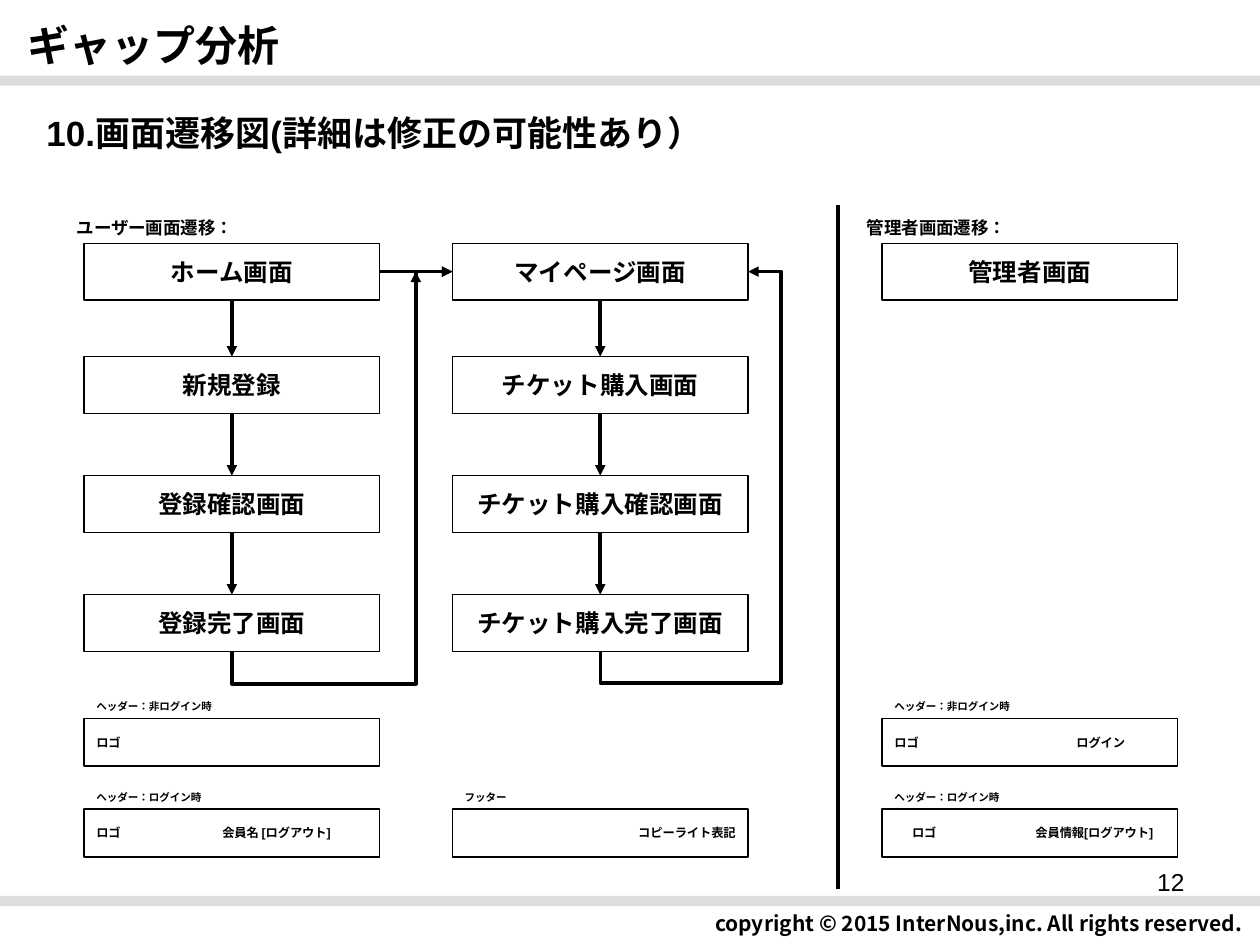
from pptx import Presentation
from pptx.dml.color import RGBColor
from pptx.enum.lang import MSO_LANGUAGE_ID
from pptx.enum.shapes import MSO_CONNECTOR, MSO_SHAPE
from pptx.enum.text import MSO_ANCHOR, MSO_AUTO_SIZE, PP_ALIGN
from pptx.oxml.ns import qn
from pptx.util import Pt
from lxml import etree

RECT = MSO_SHAPE.RECTANGLE
LINE, ELBOW = MSO_CONNECTOR.STRAIGHT, MSO_CONNECTOR.ELBOW
LEFT, CENTER, RIGHT = PP_ALIGN.LEFT, PP_ALIGN.CENTER, PP_ALIGN.RIGHT
TOP, MIDDLE = MSO_ANCHOR.TOP, MSO_ANCHOR.MIDDLE
NONE = MSO_AUTO_SIZE.NONE
JA = MSO_LANGUAGE_ID.JAPANESE

COLORS = {"ink": "000000", "band": "DDDDDD"}
SANS, NOTO = "Arial", "Noto Sans CJK JP"

COLS = (48, 258.5, 504)
ROWS = (139, 203.8, 271.8, 339.8)
WIDE, TALL = 169, 32.4
FLOWS = (
    ("ホーム画面", "新規登録", "登録確認画面", "登録完了画面"),
    ("マイページ画面", "チケット購入画面", "チケット購入確認画面", "チケット購入完了画面"),
    ("管理者画面",),
)
# column, label top, label, content, left inset, tab, alignment
PARTS = (
    (0, 396.7, "ヘッダー：非ログイン時", "ロゴ", 7.2, 72, LEFT),
    (0, 448.6, "ヘッダー：ログイン時", "ロゴ\t会員名 [ログアウト]", 7.2, 72, LEFT),
    (1, 448.6, "フッター", "コピーライト表記", 7.2, 72, RIGHT),
    (2, 396.7, "ヘッダー：非ログイン時", "ロゴ\tログイン", 7.2, 104, LEFT),
    (2, 448.6, "ヘッダー：ログイン時", "ロゴ\t会員情報[ログアウト]", 17.2, 70.5, LEFT),
)


def color(name):
    return RGBColor.from_string(COLORS[name])


class Deck:
    def __init__(self):
        self.prs = Presentation()
        self.prs.slide_width, self.prs.slide_height = Pt(720), Pt(540)
        self.slide = self.prs.slides.add_slide(self.prs.slide_layouts[5])
        self.shapes = self.slide.shapes

    def put(self, shape, text, size, align=LEFT, anchor=MIDDLE,
            face=SANS, bold=True, inset=7.2, tab=None):
        """Fill a shape with one styled paragraph."""
        frame = shape.text_frame
        style = {"word_wrap": True, "auto_size": NONE, "vertical_anchor": anchor,
                 "margin_left": Pt(inset), "margin_right": Pt(7.2),
                 "margin_top": Pt(3.6), "margin_bottom": Pt(3.6)}
        for key, value in style.items():
            setattr(frame, key, value)
        para = frame.paragraphs[0]
        para.alignment = align
        if tab:
            stops = etree.SubElement(para._p.get_or_add_pPr(), qn("a:tabLst"))
            etree.SubElement(stops, qn("a:tab"), pos=str(Pt(tab)), algn="l")
        run = para.add_run()
        run.text = text
        style = {"size": Pt(size), "name": face, "bold": bold, "language_id": JA}
        for key, value in style.items():
            setattr(run.font, key, value)
        run.font.color.rgb = color("ink")
        latin = run._r.rPr.find(qn("a:latin"))
        latin.addnext(etree.Element(qn("a:ea"), typeface=NOTO))

    def title(self, text, x, y, w, h):
        shape = self.shapes.title
        style = {"left": x, "top": y, "width": w, "height": h}
        for key, value in style.items():
            setattr(shape, key, Pt(value))
        self.put(shape, text, 24, face=NOTO)

    def label(self, text, x, y, w, h, size, **style):
        shape = self.shapes.add_textbox(Pt(x), Pt(y), Pt(w), Pt(h))
        self.put(shape, text, size, **style)

    def rect(self, x, y, w, h):
        shape = self.shapes.add_shape(RECT, Pt(x), Pt(y), Pt(w), Pt(h))
        shape.shadow.inherit = False
        return shape

    def band(self, y):
        shape = self.rect(0, y, 720, 5.8)
        shape.fill.solid()
        shape.fill.fore_color.rgb = color("band")
        shape.line.fill.background()

    def box(self, text, x, y, h, size, **style):
        shape = self.rect(x, y, WIDE, h)
        shape.fill.background()
        shape.line.color.rgb = color("ink")
        shape.line.width = Pt(0.75)
        self.put(shape, text, size, **style)
        return shape

    def wire(self, x1, y1, x2, y2, kind=LINE, head=True):
        link = self.shapes.add_connector(kind, Pt(x1), Pt(y1), Pt(x2), Pt(y2))
        link.line.color.rgb = color("ink")
        link.line.width = Pt(2)
        props = link._element.spPr
        if head:
            etree.SubElement(props.find(qn("a:ln")), qn("a:tailEnd"), type="triangle")
        etree.SubElement(props, qn("a:effectLst"))
        return link

    def join(self, start, side, end, goal):
        link = self.wire(0, 0, 0, 0)
        link.begin_connect(start, side)
        link.end_connect(end, goal)

    def loop(self, x1, y1, x2, y2, lane, dip):
        """Run down by dip, across to lane, up to y2 and into x2."""
        link = self.wire(x1, y1, x2, y2, ELBOW)
        w, h = x2 - x1, y1 - y2
        style = {"left": (x1 + x2 - h) / 2, "top": (y1 + y2 - w) / 2,
                 "width": h, "height": w}
        for key, value in style.items():
            setattr(link, key, Pt(value))
        props = link._element.spPr
        for key, value in {"rot": "5400000", "flipH": "1", "flipV": "1"}.items():
            props.find(qn("a:xfrm")).set(key, value)
        geom = props.find(qn("a:prstGeom"))
        geom.set("prst", "bentConnector4")
        guides = geom.find(qn("a:avLst"))
        for num, part in enumerate((-dip / h, (lane - x1) / w), 1):
            etree.SubElement(guides, qn("a:gd"), name=f"adj{num}",
                             fmla=f"val {round(part * 100000)}")


def main():
    deck = Deck()
    deck.title("ギャップ分析", 8.6, 3.6, 505, 44)
    deck.label("copyright © 2015 InterNous,inc. All rights reserved.",
               212.2, 514, 505, 26.6, 12, align=RIGHT, face=NOTO)
    for y in (43.2, 512):
        deck.band(y)
    deck.label("10.画面遷移図(詳細は修正の可能性あり）", 19.4, 54, 505, 44, 20)

    for col, y, name, text, inset, tab, align in PARTS:
        deck.label(name, COLS[col], y, WIDE, 14.4, 6, anchor=TOP)
        deck.box(text, COLS[col], y + 13.7, 27.4, 7,
                 align=align, inset=inset, tab=tab)

    flows = [[deck.box(text, x, y, TALL, 14, align=CENTER)
              for text, y in zip(names, ROWS)]
             for x, names in zip(COLS, FLOWS)]
    for flow in flows:
        for start, end in zip(flow, flow[1:]):
            deck.join(start, 2, end, 0)
    deck.join(flows[0][0], 3, flows[1][0], 1)

    base, mid = ROWS[-1] + TALL, ROWS[0] + TALL / 2
    deck.loop(COLS[0] + WIDE / 2, base, COLS[1], mid, 237.6, 18.7)
    deck.loop(COLS[1] + WIDE / 2, base, COLS[1] + WIDE, mid, 446.4, 18)
    deck.wire(237.6, 224.6, 237.6, mid)
    deck.wire(478.8, 117.4, 478.8, 508.3, head=False)

    for text, x in (("ユーザー画面遷移：", 36.7), ("管理者画面遷移：", 488.2)):
        deck.label(text, x, 120.5, 168.5, 19.4, 10, anchor=TOP)
    deck.label("12", 516.2, 491.8, 167.8, 37.4, 14,
               align=RIGHT, anchor=TOP, bold=False)
    deck.prs.save("out.pptx")


if __name__ == "__main__":
    main()
